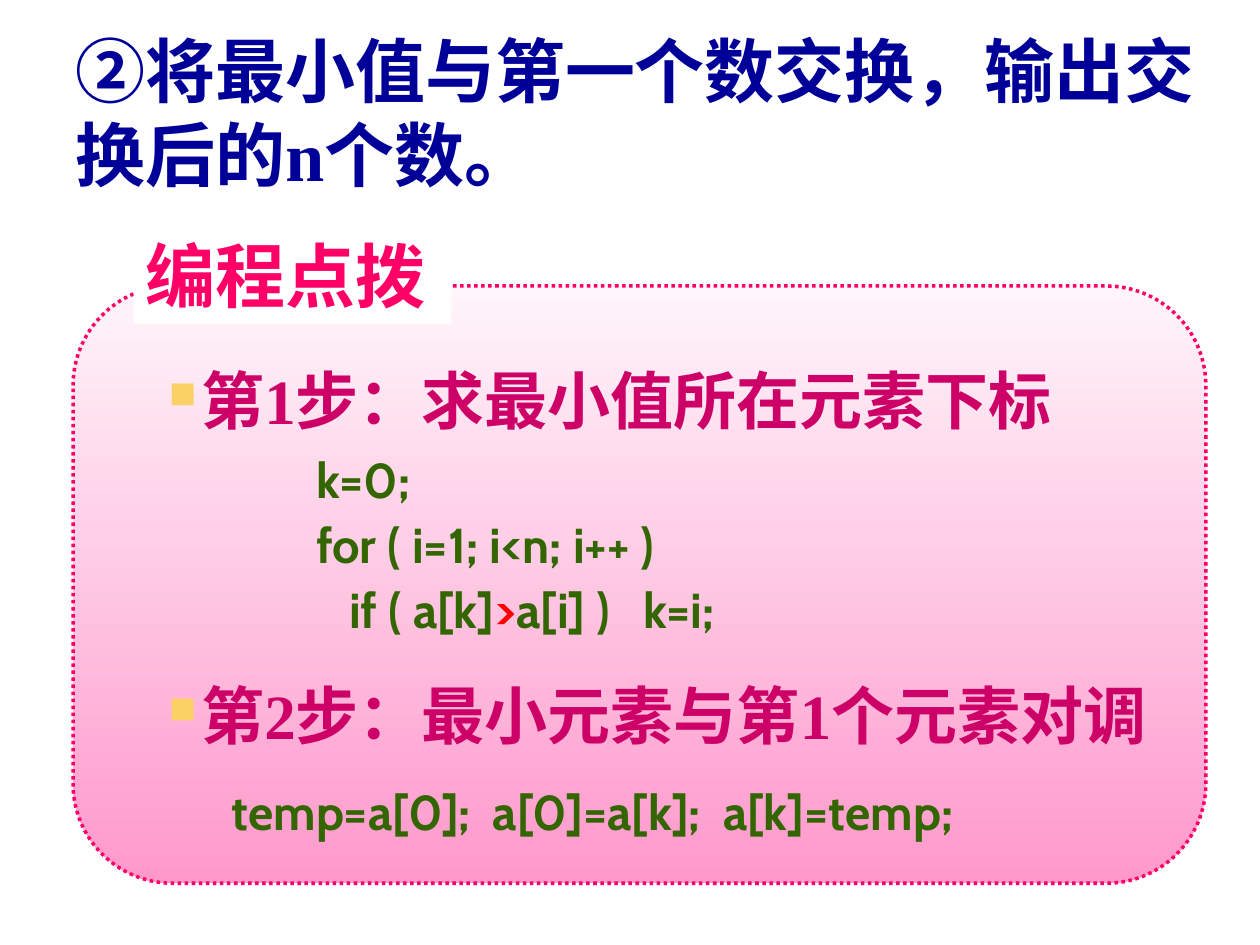
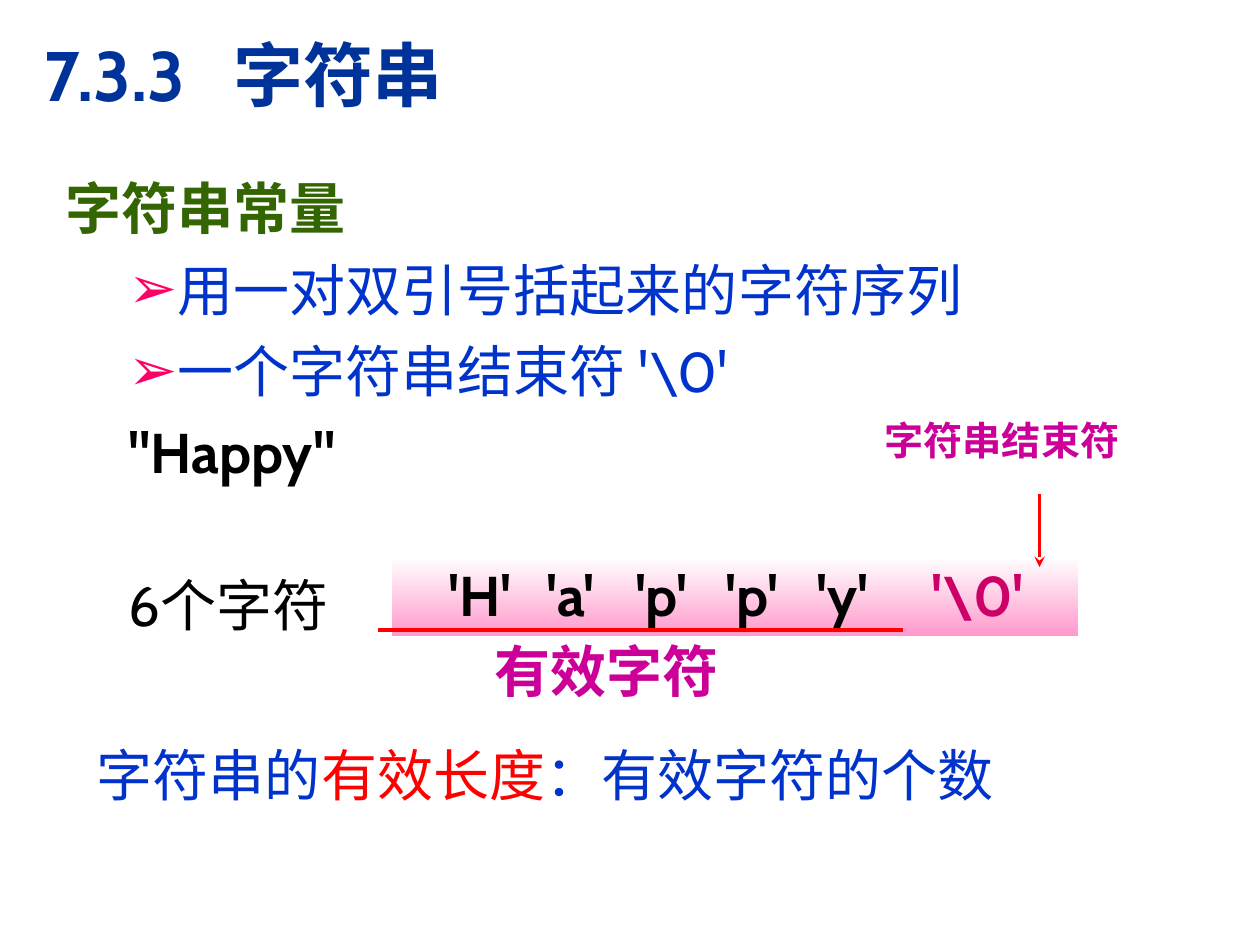
from dataclasses import dataclass

from lxml.etree import SubElement
from pptx import Presentation
from pptx.dml.color import RGBColor
from pptx.enum.dml import MSO_LINE
from pptx.enum.shapes import MSO_CONNECTOR, MSO_SHAPE
from pptx.enum.text import MSO_ANCHOR, MSO_AUTO_SIZE, PP_ALIGN
from pptx.oxml.ns import qn
from pptx.util import Inches, Pt

SERIF, SANS = "Times New Roman", "Cabin"
BLACK, WHITE, RED = "000000", "FFFFFF", "FF0000"
NAVY, TITLE_BLUE, BLUE = "000099", "003399", "0033CC"
GREEN, ROSE, MAGENTA, HOT_PINK = "336600", "CC0066", "CC0099", "FF0066"
PALE_PINK, PINK, GOLD = "FFF5FA", "FF99CC", "FBD065"


@dataclass(frozen=True)
class Box:
    left: float
    top: float
    width: float
    height: float

    def lengths(self) -> tuple:
        return tuple(Inches(value) for value in (self.left, self.top, self.width, self.height))


@dataclass(frozen=True)
class Span:
    text: str
    color: str


@dataclass(frozen=True)
class Bullet:
    character: str
    color: str
    percent: int


@dataclass(frozen=True)
class Line:
    spans: tuple[Span, ...]
    size: float
    font: str = SANS
    bold: bool = True
    align: PP_ALIGN = PP_ALIGN.LEFT
    before: float = 0
    spacing: float = 1
    margin: float = 0
    indent: float = 0
    level: int = 0
    bullet: Bullet | None = None
    tabs: tuple[float, ...] = ()


SQUARE = Bullet("■", GOLD, 60)
ARROWHEAD = Bullet("➢", HOT_PINK, 105)


def rgb(color: str) -> RGBColor:
    return RGBColor.from_string(color)


def add_bullet_and_tabs(paragraph, line: Line) -> None:
    properties = paragraph._p.get_or_add_pPr()
    properties.set("marL", str(Inches(line.margin)))
    properties.set("indent", str(Inches(line.indent)))
    if line.bullet:
        color = SubElement(properties, qn("a:buClr"))
        SubElement(color, qn("a:srgbClr"), val=line.bullet.color)
        SubElement(properties, qn("a:buSzPct"), val=str(line.bullet.percent * 1000))
        SubElement(properties, qn("a:buChar"), char=line.bullet.character)
    else:
        SubElement(properties, qn("a:buNone"))
    if line.tabs:
        tab_list = SubElement(properties, qn("a:tabLst"))
        for position in line.tabs:
            SubElement(tab_list, qn("a:tab"), pos=str(Inches(position)), algn="l")


def write(shape, lines: list[Line], anchor: MSO_ANCHOR = MSO_ANCHOR.TOP) -> None:
    frame = shape.text_frame
    frame.word_wrap = True
    frame.auto_size = MSO_AUTO_SIZE.NONE
    frame.vertical_anchor = anchor
    frame.margin_left = frame.margin_right = Inches(0.1)
    frame.margin_top = frame.margin_bottom = Inches(0.05)
    for index, line in enumerate(lines):
        paragraph = frame.add_paragraph() if index else frame.paragraphs[0]
        add_bullet_and_tabs(paragraph, line)
        paragraph.level = line.level
        paragraph.alignment = line.align
        paragraph.line_spacing = line.spacing
        paragraph.space_before = Pt(line.before if index else 0)
        for span in line.spans:
            run = paragraph.add_run()
            run.text = span.text
            run.font.name, run.font.size, run.font.bold = line.font, Pt(line.size), line.bold
            run.font.color.rgb = rgb(span.color)


def fill_placeholder(placeholder, box: Box, lines: list[Line], anchor: MSO_ANCHOR = MSO_ANCHOR.TOP) -> None:
    placeholder.left, placeholder.top, placeholder.width, placeholder.height = box.lengths()
    write(placeholder, lines, anchor)


def add_text(slide, box: Box, *lines: Line) -> None:
    write(slide.shapes.add_textbox(*box.lengths()), list(lines))


def add_panel(slide, kind: MSO_SHAPE, box: Box, *colors: str):
    """Add an unlined shape with a plain fill or a top-to-bottom gradient."""
    shape = slide.shapes.add_shape(kind, *box.lengths())
    shape.shadow.inherit = False
    shape.line.fill.background()
    if len(colors) == 1:
        shape.fill.solid()
        shape.fill.fore_color.rgb = rgb(colors[0])
    else:
        shape.fill.gradient()
        shape.fill.gradient_angle = 270
        for stop, color in zip(shape.fill.gradient_stops, colors):
            stop.color.rgb = rgb(color)
    return shape


def add_red_line(slide, start: tuple[float, float], end: tuple[float, float], arrow: bool = False) -> None:
    ends = [Inches(value) for value in (*start, *end)]
    connector = slide.shapes.add_connector(MSO_CONNECTOR.STRAIGHT, *ends)
    connector.line.color.rgb = rgb(RED)
    connector.line.width = Pt(2)
    if arrow:
        SubElement(connector.line._get_or_add_ln(), qn("a:tailEnd"), type="stealth")
    SubElement(connector._element.spPr, qn("a:effectLst"))


def add_character(slide, center: float, character: str, color: str) -> None:
    line = Line((Span(f"'{character}'", color),), 32, align=PP_ALIGN.CENTER)
    add_text(slide, Box(center - 0.5, 4.4, 1, 0.63), line)


def step(text: str) -> Line:
    return Line((Span(text, ROSE),), 36, SERIF, align=PP_ALIGN.JUSTIFY,
                margin=0.26, indent=-0.26, bullet=SQUARE)


def code(*spans: Span, before: float = 7, spacing: float = 0.9, margin: float = 0) -> Line:
    return Line(spans, 28, align=PP_ALIGN.JUSTIFY, before=before, spacing=spacing, margin=margin)


def item(text: str, color: str, bold: bool = False, before: float = 8, bullet: Bullet | None = None) -> Line:
    return Line((Span(text, color),), 32, bold=bold, before=before,
                margin=0.81, indent=-0.31, level=1, bullet=bullet)


def build_swap_slide(presentation) -> None:
    slide = presentation.slides.add_slide(presentation.slide_layouts[5])
    heading = Line((Span("②将最小值与第一个数交换，输出交换后的n个数。", NAVY),), 40, SERIF)
    fill_placeholder(slide.shapes.title, Box(0.5, 0.17, 9.25, 1.43), [heading])

    panel = add_panel(slide, MSO_SHAPE.ROUNDED_RECTANGLE, Box(0.58, 2.27, 8.99, 4.74), PALE_PINK, PINK)
    panel.line.color.rgb = rgb(HOT_PINK)
    panel.line.width = Pt(2)
    panel.line.dash_style = MSO_LINE.ROUND_DOT

    add_text(slide, Box(1.24, 2.82, 8, 0.7), step("第1步：求最小值所在元素下标"))
    add_text(
        slide, Box(2.41, 3.57, 4.58, 1.56),
        code(Span("k=0;", GREEN)),
        code(Span("for ( i=1; i<n; i++ )", GREEN)),
        code(Span("   if ( a[k]", GREEN), Span(">", RED), Span("a[i] )   k=i;", GREEN)),
    )
    tip_label = add_panel(slide, MSO_SHAPE.RECTANGLE, Box(1.06, 1.8, 2.52, 0.77), WHITE)
    write(tip_label, [Line((Span("编程点拨", HOT_PINK),), 40, SERIF)])
    add_text(
        slide, Box(1.24, 5.32, 8.5, 1.43),
        step("第2步：最小元素与第1个元素对调"),
        code(Span("temp=a[0];  a[0]=a[k];  a[k]=temp;", GREEN), before=17, spacing=1, margin=0.5),
    )


def build_string_slide(presentation) -> None:
    slide = presentation.slides.add_slide(presentation.slide_layouts[1])
    title = Line((Span("7.3.3\t字符串", TITLE_BLUE),), 40, tabs=(1.5,))
    fill_placeholder(slide.shapes.title, Box(0.25, 0.17, 4.03, 0.82), [title], MSO_ANCHOR.MIDDLE)
    fill_placeholder(slide.placeholders[1], Box(0.42, 1.33, 9.17, 3.75), [
        Line((Span("字符串常量", GREEN),), 32),
        item("用一对双引号括起来的字符序列", BLUE, bullet=ARROWHEAD),
        item("一个字符串结束符 '\\0'", BLUE, bullet=ARROWHEAD),
        item('"Happy"', BLACK, bold=True),
        item("6个字符", BLACK, before=49),
    ])

    add_text(slide, Box(3.83, 5, 2.67, 0.67), Line((Span("有效字符", MAGENTA),), 32))
    add_text(slide, Box(6.92, 3.33, 3.25, 0.5), Line((Span("字符串结束符", MAGENTA),), 22.4, spacing=0.8))
    length_spans = (Span("字符串的", BLUE), Span("有效长度", RED), Span("：有效字符的个数", BLUE))
    add_text(slide, Box(0.67, 5.83, 8.25, 0.83), Line(length_spans, 32, bold=False))

    add_panel(slide, MSO_SHAPE.RECTANGLE, Box(3.11, 4.42, 5.45, 0.63), WHITE, PINK)
    first_center, pitch, terminator_center = 3.81, 0.72, 7.76
    for index, letter in enumerate("Happy"):
        add_character(slide, first_center + index * pitch, letter, BLACK)
    add_character(slide, terminator_center, "\\0", ROSE)

    add_red_line(slide, (3, 5), (7.17, 5))
    add_red_line(slide, (8.25, 3.92), (8.25, 4.5), arrow=True)


def main() -> None:
    presentation = Presentation()
    presentation.slide_width, presentation.slide_height = Inches(10), Inches(7.5)
    build_swap_slide(presentation)
    build_string_slide(presentation)
    presentation.save("out.pptx")


if __name__ == "__main__":
    main()
